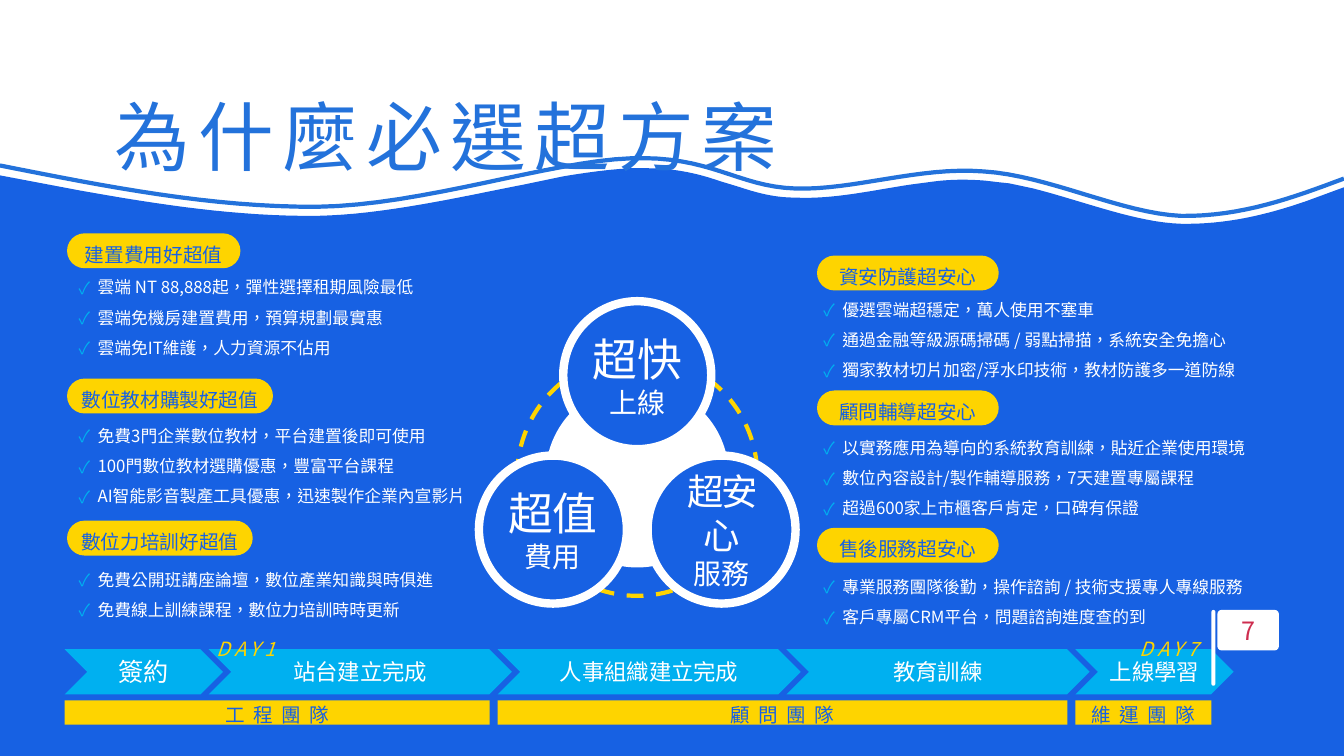
from dataclasses import dataclass

from lxml.etree import SubElement
from pptx import Presentation
from pptx.dml.color import RGBColor
from pptx.enum.dml import MSO_LINE
from pptx.enum.shapes import MSO_SHAPE
from pptx.enum.text import MSO_ANCHOR, MSO_AUTO_SIZE, PP_ALIGN
from pptx.oxml.ns import qn
from pptx.util import Cm, Pt

FONT = "Noto Sans CJK TC"
BLUE = RGBColor(0x17, 0x61, 0xE3)
TITLE_BLUE = RGBColor(0x23, 0x72, 0xDB)
CYAN = RGBColor(0x00, 0xB0, 0xF0)
YELLOW = RGBColor(0xFE, 0xD4, 0x00)
WHITE = RGBColor(0xFF, 0xFF, 0xFF)
RED = RGBColor(0xCE, 0x2D, 0x4F)

SLIDE_WIDTH, SLIDE_HEIGHT = 33.87, 19.05

# Each wave is a chain of segments: one point is a line, three a Bezier curve
SEA_START = (0, 4.42)
SEA = [
    [(2.01, 4.8)],
    [(4.01, 5.16), (5.99, 5.46), (8, 5.44)],
    [(9.65, 5.41), (11.53, 4.98), (13.21, 4.65)],
    [(14.17, 4.45)],
    [(14.81, 4.34), (15.39, 4.27), (15.88, 4.24)],
    [(16.26, 4.24)],
    [(17.07, 4.24), (17.63, 4.39), (18.16, 4.57)],
    [(18.59, 4.7)],
    [(19.05, 4.85), (19.48, 4.98), (20.04, 4.98)],
    [(20.98, 5.03), (21.97, 4.8), (22.96, 4.65)],
    [(23.57, 4.57)],
    [(23.98, 4.52), (24.38, 4.52), (24.79, 4.55)],
    [(24.99, 4.57), (25.2, 4.6), (25.43, 4.62)],
    [(26.04, 4.75)],
    [(27.33, 5.08), (28.65, 5.61), (29.77, 5.64)],
    [(30.91, 5.66), (31.93, 5.41), (32.89, 5.08)],
    [(33.87, 4.72)],
]
CREST_START = (0, 4.17)
CREST = [
    [(2.67, 4.7), (5.33, 5.23), (8, 5.21)],
    [(10.64, 5.18), (13.87, 4.06), (15.88, 3.99)],
    [(17.91, 3.91), (18.57, 4.7), (20.04, 4.75)],
    [(21.51, 4.8), (23.16, 4.19), (24.79, 4.32)],
    [(26.42, 4.42), (28.27, 5.38), (29.77, 5.44)],
    [(31.29, 5.46), (32.59, 4.98), (33.87, 4.5)],
]

LEFT_TOPICS = [
    (5.92, 3.22, 4.29, "建置費用好超值",
     ["雲端 NT 88,888起，彈性選擇租期風險最低", "雲端免機房建置費用，預算規劃最實惠",
      "雲端免IT維護，人力資源不佔用"]),
    (9.58, 3.3, 5.11, "數位教材購製好超值",
     ["免費3門企業數位教材，平台建置後即可使用", "100門數位教材選購優惠，豐富平台課程",
      "AI智能影音製產工具優惠，迅速製作企業內宣影片"]),
    (13.16, 2.58, 4.6, "數位力培訓好超值",
     ["免費公開班講座論壇，數位產業知識與時俱進", "免費線上訓練課程，數位力培訓時時更新"]),
]
RIGHT_TOPICS = [
    (6.48, 3.22, 4.5, "資安防護超安心",
     ["優選雲端超穩定，萬人使用不塞車", "通過金融等級源碼掃碼 / 弱點掃描，系統安全免擔心",
      "獨家教材切片加密/浮水印技術，教材防護多一道防線"]),
    (9.88, 3.3, 4.5, "顧問輔導超安心",
     ["以實務應用為導向的系統教育訓練，貼近企業使用環境", "數位內容設計/製作輔導服務，7天建置專屬課程",
      "超過600家上市櫃客戶肯定，口碑有保證"]),
    (13.34, 2.58, 4.5, "售後服務超安心",
     ["專業服務團隊後勤，操作諮詢 / 技術支援專人專線服務", "客戶專屬CRM平台，問題諮詢進度查的到"]),
]
STAGES = [("簽約", 3.99, 18), ("站台建立完成", 7.64, 16), ("人事組織建立完成", 7.64, 16),
          ("教育訓練", 7.64, 16), ("上線學習", 3.99, 16)]
TEAMS = [("工程團隊", 0, 2), ("顧問團隊", 2, 4), ("維運團隊", 4, 5)]


@dataclass
class Box:
    left: float
    top: float
    width: float
    height: float

    def lengths(self):
        return Cm(self.left), Cm(self.top), Cm(self.width), Cm(self.height)


def write(shape, text, size, color=WHITE, align=PP_ALIGN.CENTER, spacing=None,
          leading=None, italic=None, check=False, first=True):
    """Add one paragraph of formatted text to a shape."""
    frame = shape.text_frame
    para = frame.paragraphs[0] if first else frame.add_paragraph()
    para.alignment = align
    if leading:
        para.line_spacing = leading
    if check:
        props = para._p.get_or_add_pPr()
        props.set("marL", str(Cm(0.48)))
        props.set("indent", str(-Cm(0.48)))
        tint = SubElement(props, qn("a:buClr"))
        SubElement(tint, qn("a:srgbClr")).set("val", str(CYAN))
        SubElement(props, qn("a:buFont")).set("typeface", FONT)
        SubElement(props, qn("a:buChar")).set("char", "✓")
    span = para.add_run()
    span.text = text
    span.font.size, span.font.name, span.font.italic = Pt(size), FONT, italic
    span.font.color.rgb = color
    span_props = span.font._element
    span_props.set("lang", "zh-TW")
    SubElement(span_props, qn("a:ea")).set("typeface", FONT)
    if spacing:
        span_props.set("spc", str(int(spacing * 100)))


def paint(shape, fill=None, line=None, weight=1):
    shape.shadow.inherit = False
    if fill is None:
        shape.fill.background()
    else:
        shape.fill.solid()
        shape.fill.fore_color.rgb = fill
    if line is None:
        shape.line.fill.background()
    else:
        shape.line.color.rgb = line
        shape.line.width = Pt(weight)


def add_figure(page, kind, box, fill=None, line=None, weight=1):
    shape = page.shapes.add_shape(kind, *box.lengths())
    paint(shape, fill, line, weight)
    frame = shape.text_frame
    frame.word_wrap = True
    frame.vertical_anchor = MSO_ANCHOR.MIDDLE
    frame.margin_left = frame.margin_right = frame.margin_top = frame.margin_bottom = 0
    return shape


def add_label(page, box, text, size, **style):
    label = page.shapes.add_textbox(*box.lengths())
    label.text_frame.word_wrap = False
    label.text_frame.auto_size = MSO_AUTO_SIZE.SHAPE_TO_FIT_TEXT
    write(label, text, size, align=PP_ALIGN.LEFT, **style)


def trace(start, segments, steps=16):
    """Turn a chain of lines and Bezier curves into points."""
    points = [start]
    for segment in segments:
        if len(segment) == 1:
            points += segment
            continue
        a, b, c, d = points[-1], *segment
        for step in range(1, steps + 1):
            t = step / steps
            u = 1 - t
            points.append(tuple(u**3 * a[i] + 3 * u * u * t * b[i] + 3 * u * t * t * c[i] + t**3 * d[i]
                                for i in (0, 1)))
    return points


def draw_waves(page, box):
    bottom = [(box.width, box.height), (0, box.height)]
    for points, closed in [(trace(SEA_START, SEA) + bottom, True), (trace(CREST_START, CREST), False)]:
        points = [(Cm(box.left + x), Cm(box.top + y)) for x, y in points]
        builder = page.shapes.build_freeform(*points[0])
        builder.add_line_segments(points[1:], close=closed)
        wave = builder.convert_to_shape()
        if closed:
            paint(wave, fill=BLUE)
        else:
            paint(wave, line=TITLE_BLUE, weight=3)


def draw_topic(page, box, heading, pill_width, points, pill_shift):
    pill_box = Box(box.left + pill_shift, box.top, pill_width, 0.8)
    pill = add_figure(page, MSO_SHAPE.ROUNDED_RECTANGLE, pill_box, YELLOW, YELLOW, 2.25)
    pill.adjustments[0] = 0.5
    write(pill, heading, 14, BLUE, leading=1.3)
    # Check list, resting on the bottom of the box
    height = 0.78 * len(points) + 0.25
    checks = page.shapes.add_textbox(*Box(box.left, box.top + box.height - height, box.width, height).lengths())
    checks.text_frame.word_wrap = True
    checks.text_frame.vertical_anchor = MSO_ANCHOR.BOTTOM
    for index, point in enumerate(points):
        write(checks, point, 12, align=PP_ALIGN.LEFT, leading=1.5, check=True, first=index == 0)


def draw_trio(page, box):
    center_x, center_y, size = box.left + box.width / 2, box.top + 4.4, 3.73

    def disc(x, y, diameter, **look):
        round_box = Box(x - diameter / 2, y - diameter / 2, diameter, diameter)
        return add_figure(page, MSO_SHAPE.OVAL, round_box, **look)

    disc(center_x, center_y, 6.05, line=YELLOW, weight=3).line.dash_style = MSO_LINE.DASH
    disc(center_x, center_y, 4.62, fill=WHITE)
    low = box.top + box.height - size / 2
    for x, y, big, small, points, spacing in [
            (center_x, box.top + size / 2, "超快", "上線", 32, None),
            (box.left + size / 2, low, "超值", "費用", 32, None),
            (box.left + box.width - size / 2, low, "超安心", "服務", 26, -1.5)]:
        circle = disc(x, y, size, fill=BLUE, line=WHITE, weight=6)
        write(circle, big, points, spacing=spacing)
        write(circle, small, 20, first=False)


def draw_track(page, box):
    lefts = [box.left]
    for name, width, size in STAGES:
        arrow = add_figure(page, MSO_SHAPE.CHEVRON, Box(lefts[-1], box.top + 0.43, width, 1.14), CYAN)
        write(arrow, name, size)
        lefts.append(lefts[-1] + width - 0.36)
    for name, start, end in TEAMS:
        bar_box = Box(lefts[start], box.top + 1.72, lefts[end] - lefts[start] - 0.2, 0.61)
        bar = add_figure(page, MSO_SHAPE.RECTANGLE, bar_box, YELLOW)
        write(bar, name, 14, BLUE, spacing=6, leading=1.2)
    for day, left in [("DAY1", lefts[1] - 0.05), ("DAY7", lefts[4] + 1.37)]:
        add_label(page, Box(left, box.top, 2.16, 0.86), day, 14, color=YELLOW, italic=True, spacing=3)


def draw_page_flag(page, box):
    pole = add_figure(page, MSO_SHAPE.ROUNDED_RECTANGLE, Box(box.left, box.top, 0.1, box.height), WHITE)
    pole.adjustments[0] = 0.5
    flag_box = Box(box.left + 0.15, box.top, box.width - 0.15, 1.02)
    flag = add_figure(page, MSO_SHAPE.ROUNDED_RECTANGLE, flag_box, WHITE)
    flag.adjustments[0] = 0.1
    write(flag, "7", 18, RED)


def main():
    deck = Presentation()
    deck.slide_width, deck.slide_height = Cm(SLIDE_WIDTH), Cm(SLIDE_HEIGHT)
    page = deck.slides.add_slide(deck.slide_layouts[6])
    draw_waves(page, Box(0, 0, SLIDE_WIDTH, SLIDE_HEIGHT))
    add_label(page, Box(2.64, 2.13, 17.6, 2.57), "為什麼必選超方案", 54, color=TITLE_BLUE, spacing=6)
    draw_trio(page, Box(12.07, 7.59, 7.98, 7.62))
    for left, width, pill_shift, topics in [(1.73, 10.82, 0, LEFT_TOPICS), (20.5, 11.86, 0.13, RIGHT_TOPICS)]:
        for top, height, pill_width, heading, points in topics:
            draw_topic(page, Box(left, top, width, height), heading, pill_width, points, pill_shift)
    draw_track(page, Box(1.63, 15.93, 29.46, 2.33))
    draw_page_flag(page, Box(30.53, 15.37, 1.7, 1.91))
    deck.save("out.pptx")


if __name__ == "__main__":
    main()
